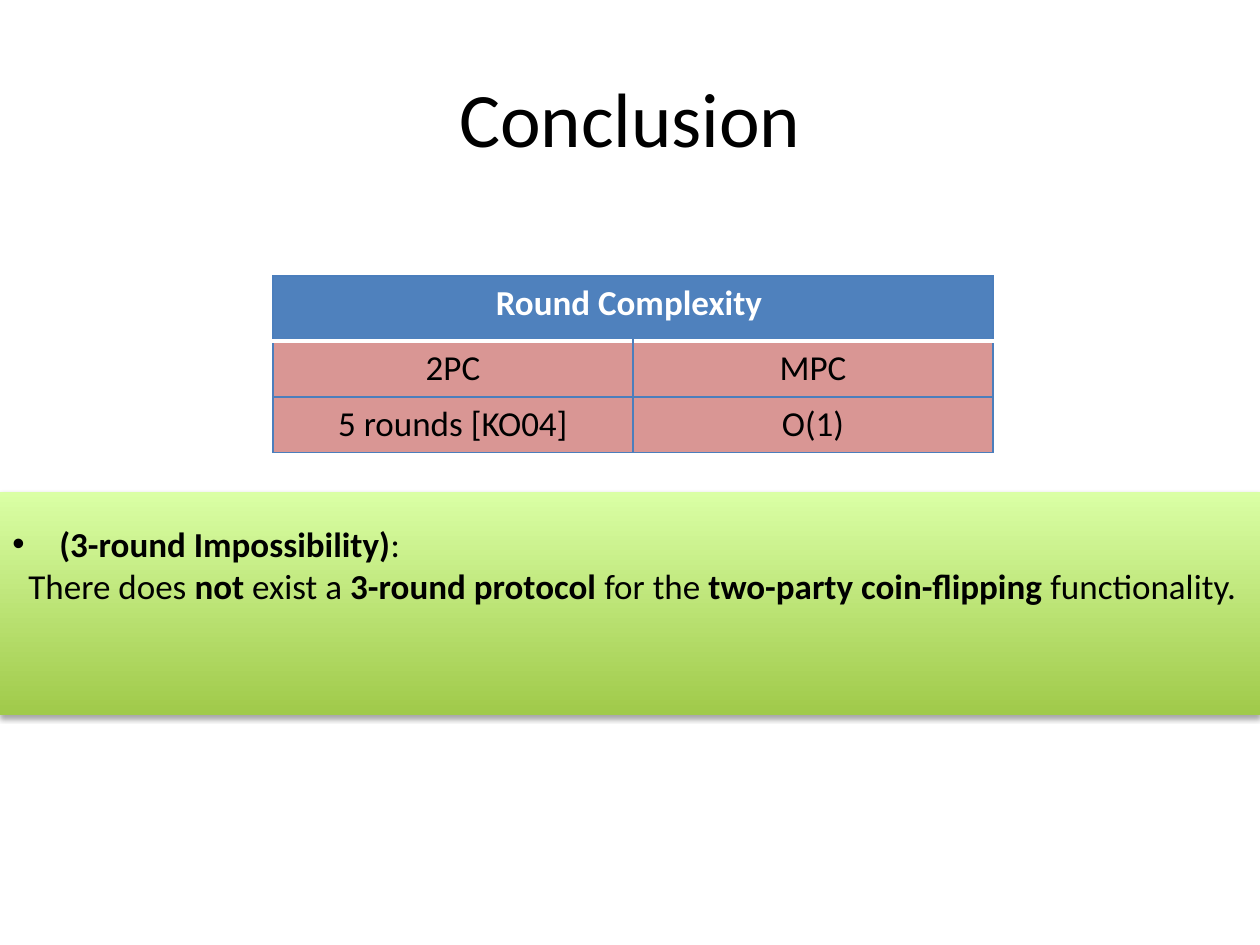
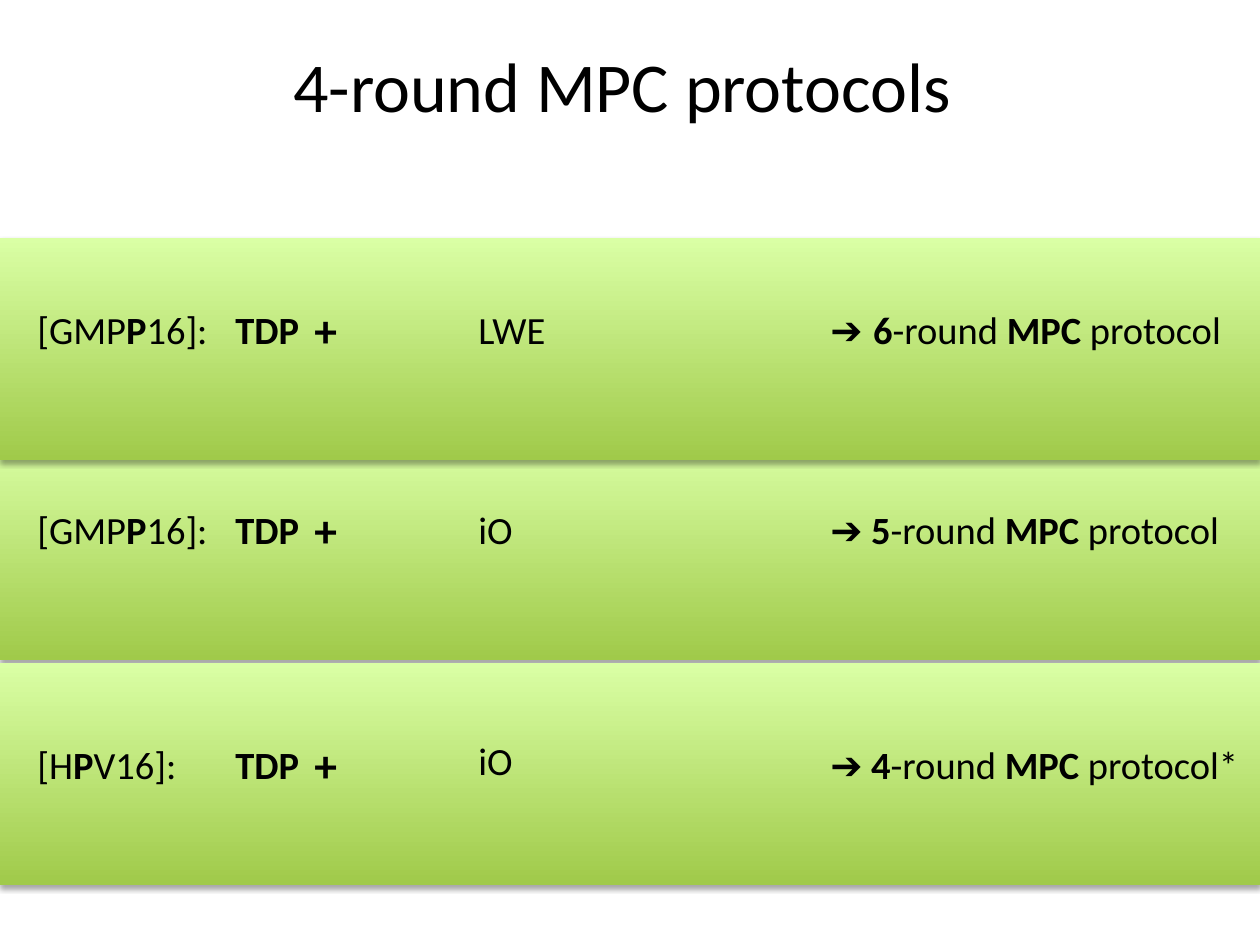
from collections import namedtuple

from lxml import etree
from pptx import Presentation
from pptx.dml.color import RGBColor
from pptx.enum.shapes import MSO_SHAPE
from pptx.enum.text import MSO_ANCHOR, MSO_AUTO_SIZE, PP_ALIGN
from pptx.oxml.ns import qn
from pptx.util import Emu, Pt

RECTANGLE = MSO_SHAPE.RECTANGLE
TOP, MIDDLE = MSO_ANCHOR.TOP, MSO_ANCHOR.MIDDLE
CENTER, JUSTIFY, LEFT = PP_ALIGN.CENTER, PP_ALIGN.JUSTIFY, PP_ALIGN.LEFT
FIT_SHAPE = MSO_AUTO_SIZE.SHAPE_TO_FIT_TEXT

EMU_PER_PX = 914400 / 126
SLIDE_WIDTH, SLIDE_HEIGHT = 1260, 945
TITLE_ONLY = 5
BODY_FONT, SYMBOL_FONT = "Calibri", "Arial"
COLORS = {
    "text": "000000",
    "header_text": "FFFFFF",
    "header": "4F81BD",
    "cell": "D99694",
    "border": "4B7EBC",
    "header_rule": "FFFFFF",
    "band_bottom": "A0CA4A",
    "band_top": "DAFFA5",
    "shadow": "000000",
}

Protocol = namedtuple(
    "Protocol", "top text_offset assumption_offset label label_width "
    "assumption assumption_width result result_width")

# Listed from back to front: the first band lies over the second.
PROTOCOLS = [
    Protocol(438, 62, 62, "[GMP**P**16]:", 197, "iO", 60,
             "**➔**** 5**-round **MPC **protocol", 430),
    Protocol(663, 72, 68, "[H**P**V16]:", 168, "iO", 60,
             "**➔**** 4**-round **MPC **protocol*", 450),
    Protocol(238, 62, 62, "[GMP**P**16]:", 197, "LWE", 96,
             "**➔ ****6**-round **MPC **protocol", 430),
]


def px(length):
    return Emu(round(length * EMU_PER_PX))


def box_px(*box):
    return [px(length) for length in box]


def rgb(name):
    return RGBColor.from_string(COLORS[name])


def write(paragraph, text, size, color="text", align=LEFT):
    """Add runs to the paragraph; parts between ** marks are bold."""
    paragraph.alignment = align
    for index, part in enumerate(text.split("**")):
        if not part:
            continue
        run = paragraph.add_run()
        run.text = part
        run.font.color.rgb = rgb(color)
        font = SYMBOL_FONT if part.startswith("➔") else BODY_FONT
        for name, value in {"name": font, "size": Pt(size),
                            "bold": index % 2 == 1}.items():
            setattr(run.font, name, value)


def add_titled_slide(presentation, text, size, box):
    slide = presentation.slides.add_slide(
        presentation.slide_layouts[TITLE_ONLY])
    title = slide.shapes.title
    for name, value in zip(("left", "top", "width", "height"), box):
        setattr(title, name, px(value))
    title.text_frame.vertical_anchor = MIDDLE
    write(title.text_frame.paragraphs[0], text, size, align=CENTER)
    return slide


def add_band(slide, top, height):
    """Add a full-width green band with a soft shadow below it."""
    band = slide.shapes.add_shape(
        RECTANGLE, *box_px(0, top, SLIDE_WIDTH, height))
    band.line.fill.background()
    band.fill.gradient()
    band.fill.gradient_angle = 90
    for stop, name in zip(band.fill.gradient_stops,
                          ("band_bottom", "band_top")):
        stop.color.rgb = rgb(name)
    band.shadow.inherit = False
    effects = band.element.spPr.find(qn("a:effectLst"))
    shadow = etree.SubElement(
        effects, qn("a:outerShdw"), blurRad=str(Pt(3.1)), dist=str(Pt(1.8)),
        dir="5400000", rotWithShape="0")
    color = etree.SubElement(shadow, qn("a:srgbClr"), val=COLORS["shadow"])
    etree.SubElement(color, qn("a:alpha"), val="35000")
    return band


def add_label(slide, box, text, size):
    frame = slide.shapes.add_textbox(*box_px(*box)).text_frame
    frame.word_wrap = False
    frame.auto_size = FIT_SHAPE
    write(frame.paragraphs[0], text, size)


def set_border(cell, side, color, width):
    line = etree.SubElement(cell._tc.get_or_add_tcPr(), qn(f"a:ln{side}"),
                            w=str(Pt(width)))
    fill = etree.SubElement(line, qn("a:solidFill"))
    etree.SubElement(fill, qn("a:srgbClr"), val=COLORS[color])


def style_cell(cell, row):
    is_header = row == 0
    ruled_side = {0: "B", 1: "T"}.get(row)
    for side in "LRTB":
        border = ("header_rule", 2) if side == ruled_side else ("border", 0.75)
        set_border(cell, side, *border)
    cell.fill.solid()
    cell.fill.fore_color.rgb = rgb("header" if is_header else "cell")


def add_complexity_table(slide, left, top):
    rows = [["**Round Complexity **"], ["2PC", "MPC"],
            ["5 rounds [KO04]", "O(1)"]]
    heights, column_width = (65, 56, 56), 360
    table = slide.shapes.add_table(
        3, 2, *box_px(left, top, 2 * column_width, sum(heights))).table
    for column in table.columns:
        column.width = px(column_width)
    table.cell(0, 0).merge(table.cell(0, 1))
    for row, (texts, height) in enumerate(zip(rows, heights)):
        table.rows[row].height = px(height)
        for cell in table.rows[row].cells:
            style_cell(cell, row)
        for column, text in enumerate(texts):
            write(table.cell(row, column).text_frame.paragraphs[0], text, 20,
                  "text" if row else "header_text", CENTER)


def indent(paragraph, margin, first_line, bullet=None):
    properties = paragraph._p.get_or_add_pPr()
    properties.set("marL", str(px(margin)))
    properties.set("indent", str(px(first_line)))
    if bullet:
        etree.SubElement(properties, qn("a:buFont"), typeface=SYMBOL_FONT)
        etree.SubElement(properties, qn("a:buChar"), char=bullet)


def add_impossibility_band(slide, top, height):
    frame = add_band(slide, top, height).text_frame
    frame.word_wrap = True
    frame.vertical_anchor = TOP
    frame.margin_top = px(30)
    heading = frame.paragraphs[0]
    write(heading, "**(3-round Impossibility)**:", 20, align=JUSTIFY)
    indent(heading, 47, -47, "•")
    theorem = frame.add_paragraph()
    write(theorem, "There does **not** exist a **3-round protocol **for the "
          "**two-party coin-flipping **functionality.", 20, align=JUSTIFY)
    indent(theorem, 16, 0)


def add_protocol_band(slide, protocol):
    add_band(slide, protocol.top, 222)
    text_top = protocol.top + protocol.text_offset
    assumption_top = protocol.top + protocol.assumption_offset
    for left, top, width, height, text, size in (
            (25, text_top, protocol.label_width, 59, protocol.label, 22),
            (223, text_top, 91, 59, "**TDP**", 22),
            (302, text_top - 4, 48, 68, "**+**", 26),
            (466, assumption_top, protocol.assumption_width, 59,
             protocol.assumption, 22),
            (818, text_top, protocol.result_width, 59, protocol.result, 22)):
        add_label(slide, (left, top, width, height), text, size)


def build_conclusion(presentation):
    slide = add_titled_slide(presentation, "Conclusion", 44,
                             (63, 38, 1134, 158))
    add_impossibility_band(slide, 492, 223)
    add_complexity_table(slide, 273, 276)


def build_protocols(presentation):
    slide = add_titled_slide(presentation, "4-round MPC protocols ", 40,
                             (63, 5, 1134, 158))
    for protocol in PROTOCOLS:
        add_protocol_band(slide, protocol)


def main():
    presentation = Presentation()
    presentation.slide_width = px(SLIDE_WIDTH)
    presentation.slide_height = px(SLIDE_HEIGHT)
    build_conclusion(presentation)
    build_protocols(presentation)
    presentation.save("out.pptx")


if __name__ == "__main__":
    main()
